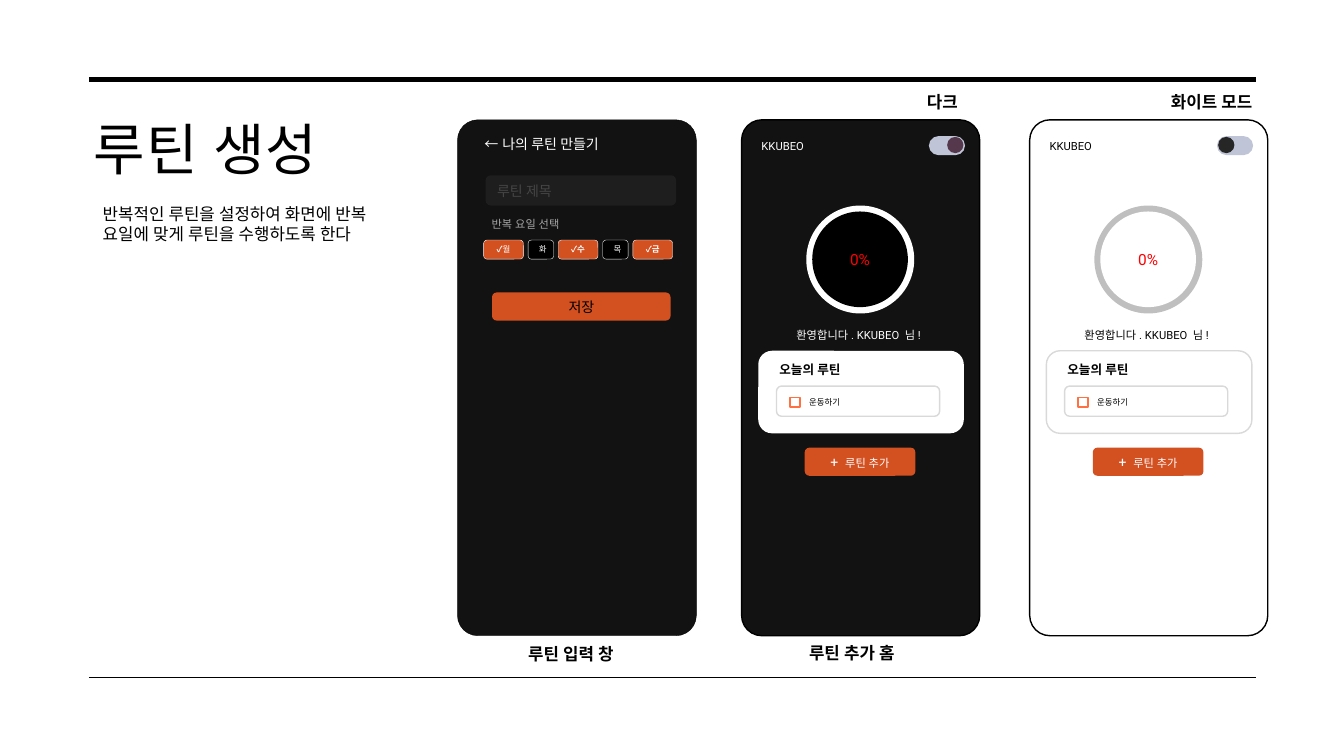
from dataclasses import dataclass

from lxml import etree
from pptx import Presentation
from pptx import util as u
from pptx.dml.color import RGBColor
from pptx.enum import lang, shapes, text
from pptx.oxml.ns import qn

COLORS = {
    "black": "000000", "white": "FFFFFF", "screen": "121212", "field": "1E1E1E",
    "hint": "454545", "label": "A6A6A6", "orange": "D35021", "check": "FF7043",
    "red": "FF0000", "track": "BFC5D6", "plum": "56384D", "charcoal": "262626",
    "ring": "BFBFBF", "border": "D9D9D9",
}
FONT = "Roboto"
ROUND = shapes.MSO_SHAPE.ROUNDED_RECTANGLE
OVAL = shapes.MSO_SHAPE.OVAL
PHONE_TOP, PHONE_HEIGHT, PHONE_CORNER = 3.02, 13.0, 0.085
DAY_GAP = 0.12


@dataclass
class Box:
    left: float
    top: float
    width: float
    height: float

    def lengths(self) -> list:
        return [u.Cm(n) for n in (self.left, self.top, self.width, self.height)]


@dataclass
class Run:
    text: str
    size: float
    color: str = "black"
    bold: bool = False
    font: str = FONT
    spacing: int = 0


@dataclass
class Day:
    runs: list
    chosen: bool


@dataclass
class HomeScreen:
    left: float
    screen: str
    ink: str
    knob: str
    knob_offset: float
    ring: str
    disc: str
    card_line: str | None
    mode: Run
    mode_left: float
    mode_width: float


def rgb(name: str) -> RGBColor:
    return RGBColor.from_string(COLORS[name])


def write_text(shape, *runs: Run, align=text.PP_ALIGN.LEFT,
               anchor=text.MSO_ANCHOR.TOP, wrap: bool = True) -> None:
    frame = shape.text_frame
    frame.word_wrap = wrap
    frame.vertical_anchor = anchor
    paragraph = frame.paragraphs[0]
    paragraph.alignment = align
    for item in runs:
        run = paragraph.add_run()
        run.text = item.text
        run.font.size = u.Pt(item.size)
        run.font.bold = item.bold
        run.font.color.rgb = rgb(item.color)
        run.font.name = item.font
        run.font.language_id = lang.MSO_LANGUAGE_ID.KOREAN
        properties = run.font._element
        # East Asian typeface and letter spacing
        etree.SubElement(properties, qn("a:ea")).set("typeface", item.font)
        if item.spacing:
            properties.set("spc", str(item.spacing))


def add_text(parent, box: Box, *runs: Run, wrap: bool = True, grow: bool = True):
    shape = parent.shapes.add_textbox(*box.lengths())
    write_text(shape, *runs, wrap=wrap)
    if grow:
        shape.text_frame.auto_size = text.MSO_AUTO_SIZE.SHAPE_TO_FIT_TEXT
    return shape


def add_panel(parent, box: Box, fill: str, *runs: Run, kind=ROUND,
              line: str | None = None, weight: float = 1,
              corner: float | None = None, align=text.PP_ALIGN.CENTER) -> None:
    shape = parent.shapes.add_shape(kind, *box.lengths())
    shape.shadow.inherit = False
    shape.fill.solid()
    shape.fill.fore_color.rgb = rgb(fill)
    if line:
        shape.line.color.rgb = rgb(line)
        shape.line.width = u.Pt(weight)
    else:
        shape.line.fill.background()
    if corner is not None:
        shape.adjustments[0] = corner
    if runs:
        write_text(shape, *runs, align=align, anchor=text.MSO_ANCHOR.MIDDLE)


def add_rule(slide, top: float, weight: float) -> None:
    rule = slide.shapes.add_connector(
        shapes.MSO_CONNECTOR.STRAIGHT, u.Cm(2.24), u.Cm(top), u.Cm(31.65), u.Cm(top))
    rule.line.color.rgb = rgb("black")
    rule.line.width = u.Pt(weight)
    etree.SubElement(rule._element.spPr, qn("a:effectLst"))


def draw_input_screen(slide) -> None:
    phone = slide.shapes.add_group_shape()
    add_panel(phone, Box(11.53, PHONE_TOP, 6.02, PHONE_HEIGHT), "screen",
              line="black", weight=0.25, corner=PHONE_CORNER)
    add_text(phone, Box(11.96, 3.3, 3.73, 0.69),
             Run("← ", 10, "white", font="Noto Sans CJK KR"),
             Run("나의 루틴 만들기", 10, "white"), wrap=False)
    add_panel(phone, Box(12.24, 4.42, 4.8, 0.76), "field",
              Run("루틴 제목", 10, "hint"), align=text.PP_ALIGN.LEFT)
    add_panel(phone, Box(12.4, 7.37, 4.5, 0.71), "orange", Run("저장", 10))
    add_text(phone, Box(12.14, 5.36, 2.44, 0.61),
             Run("반복 요일 선택", 8, "label"), wrap=False)

    # Weekday buttons
    days = [
        Day([Run("✓", 6, "white", True), Run("월", 6, "white")], True),
        Day([Run("화", 6, "white")], False),
        Day([Run("✓수", 6, "white", True)], True),
        Day([Run("목", 6, "white")], False),
        Day([Run("✓금", 6, "white", True)], True),
    ]
    left = 12.19
    for day in days:
        width = 1.0 if day.chosen else 0.64
        add_panel(phone, Box(left, 6.05, width, 0.48),
                  "orange" if day.chosen else "black", *day.runs,
                  line="white", weight=0.25)
        left += width + DAY_GAP


def draw_home_screen(slide, home: HomeScreen) -> None:
    phone = slide.shapes.add_group_shape()

    def place(offset: float, top: float, width: float, height: float) -> Box:
        return Box(home.left + offset, top, width, height)

    # Header and mode switch
    add_panel(phone, place(0, PHONE_TOP, 6.0, PHONE_HEIGHT), home.screen,
              line="black", corner=PHONE_CORNER)
    add_text(phone, place(0.25, 3.38, 1.6, 0.61), Run("KKUBEO", 8, home.ink))
    add_panel(phone, place(4.72, 3.43, 0.91, 0.48), "track", corner=0.5)
    add_panel(phone, place(home.knob_offset, 3.45, 0.41, 0.41), home.knob, kind=OVAL)

    # Progress ring and greeting
    add_panel(phone, place(1.63, 5.18, 2.72, 2.72), home.ring, kind=OVAL)
    add_panel(phone, place(1.78, 5.33, 2.41, 2.41), home.disc,
              Run("0%", 11, "red"), kind=OVAL)
    add_text(phone, place(1.13, 8.15, 3.73, 0.61),
             Run("환영합니다. KKUBEO 님!", 8, home.ink))
    add_panel(phone, place(1.59, 11.28, 2.79, 0.71), "orange",
              Run("+ ", 10, "white"), Run("루틴 추가", 8, "white"))

    # Card with today's routine
    add_panel(phone, place(0.42, 8.84, 5.18, 2.08), "white", line=home.card_line)
    add_text(phone, place(0.7, 8.99, 2.24, 0.64),
             Run("오늘의 루틴", 9, bold=True), wrap=False)
    add_panel(phone, place(0.88, 9.73, 4.11, 0.76), "white", line="border")
    add_panel(phone, place(1.22, 10.01, 0.25, 0.25), "white",
              kind=shapes.MSO_SHAPE.RECTANGLE, line="check")
    add_text(phone, place(1.45, 9.88, 1.68, 0.51), Run("운동하기", 6))

    add_text(phone, Box(home.mode_left, 2.18, home.mode_width, 0.76), home.mode)


def main() -> None:
    presentation = Presentation()
    presentation.slide_width = u.Cm(33.87)
    presentation.slide_height = u.Cm(19.05)
    slide = presentation.slides.add_slide(presentation.slide_layouts[6])

    # Frame rules, title and description
    add_rule(slide, 2.01, 3.5)
    add_rule(slide, 17.07, 1)
    title = add_text(slide, Box(2.06, 2.59, 8.41, 2.54),
                     Run("루틴 생성", 40, spacing=80), grow=False).text_frame
    title.margin_left = title.margin_top = title.margin_right = u.Cm(0.3)
    title.margin_bottom = u.Cm(0.25)
    add_text(slide, Box(2.34, 5.0, 8.2, 1.27),
             Run("반복적인 루틴을 설정하여 화면에 반복 요일에 맞게 루틴을 수행하도록 한다", 12))

    # Phone screens
    draw_input_screen(slide)
    draw_home_screen(slide, HomeScreen(
        18.69, "screen", "white", "plum", 5.18, "white", "black", None,
        Run("다크", 12, bold=True), 23.11, 1.65))
    draw_home_screen(slide, HomeScreen(
        25.95, "white", "black", "charcoal", 4.75, "ring", "white", "border",
        Run("화이트 모드", 12, bold=True), 29.26, 2.87))

    # Captions
    add_text(slide, Box(13.06, 16.1, 3.38, 0.76), Run("루틴 입력 창", 12, bold=True))
    add_text(slide, Box(20.14, 16.08, 4.45, 0.76), Run("루틴 추가 홈", 12, bold=True))

    presentation.save("out.pptx")


if __name__ == "__main__":
    main()
